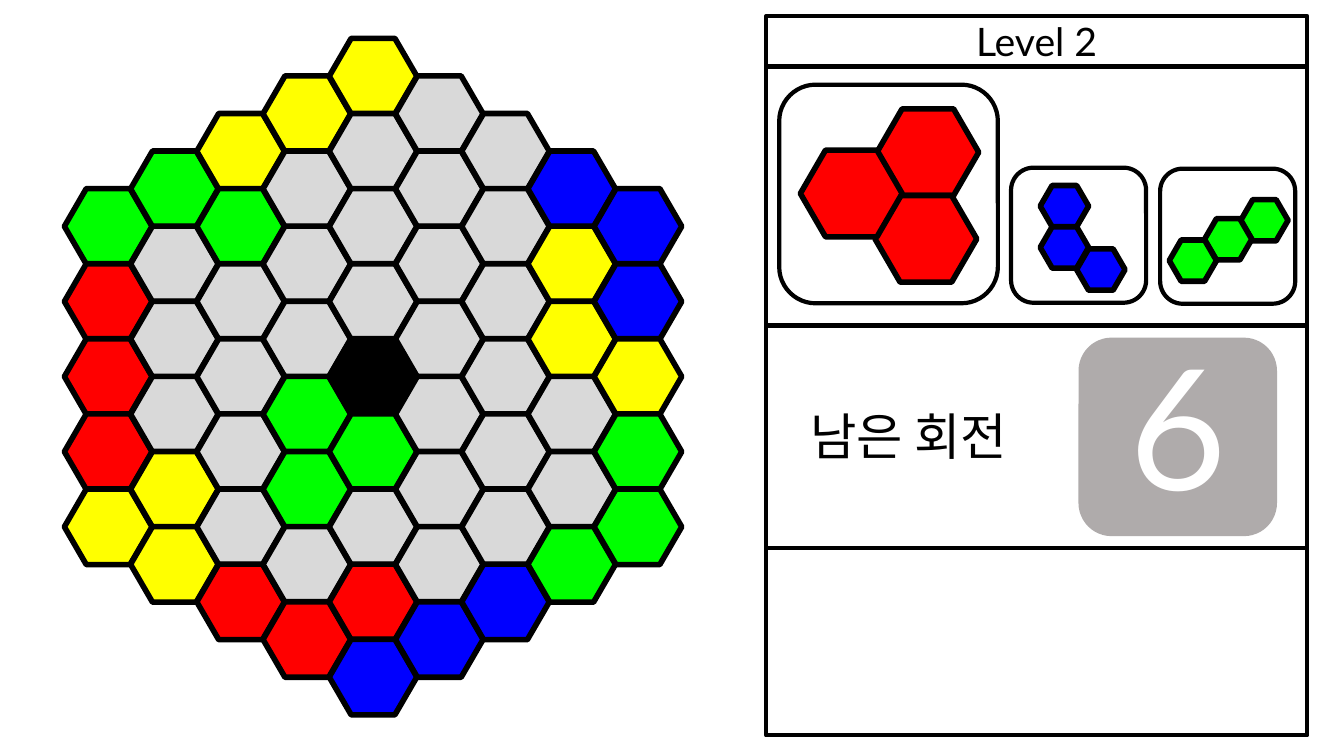
from pptx import Presentation
from pptx.dml.color import RGBColor
from pptx.enum import shapes, text
from pptx.oxml import ns
from pptx.util import Pt

COLORS = {"R": "FF0000", "G": "00FF00", "B": "0000FF", "Y": "FFFF00",
          "-": "D9D9D9", "K": "000000", "W": "FFFFFF", "counter": "AFABAB"}
KIND = shapes.MSO_SHAPE


def add_block(parent, kind, box, fill=None, line=None):
    block = parent.add_shape(kind, *[Pt(v) for v in box])
    block.shadow.inherit = False
    if fill:
        block.fill.solid()
        block.fill.fore_color.rgb = RGBColor.from_string(COLORS[fill])
    else:
        block.fill.background()
    if line:
        block.line.color.rgb = RGBColor.from_string(COLORS["K"])
        block.line.width = Pt(line)
    else:
        block.line.fill.background()
    if kind == KIND.HEXAGON:
        block.adjustments[0] = 0.29
    return block


def write(block, words, size, font, color, align):
    frame = block.text_frame
    frame.word_wrap = True
    paragraph = frame.paragraphs[0]
    paragraph.alignment = align
    run = paragraph.add_run()
    run.text = words
    for name, value in {"size": Pt(size), "name": font}.items():
        setattr(run.font, name, value)
    run.font.color.rgb = RGBColor.from_string(COLORS[color])
    east_asian = run.font._element.makeelement(ns.qn("a:ea"), {"typeface": font})
    run.font._element.append(east_asian)
    return frame


deck = Presentation()
deck.slide_width, deck.slide_height = Pt(960), Pt(540)
slide = deck.slides.add_slide(deck.slide_layouts[6])
canvas = slide.shapes

# Board: one string per column, top to bottom, centred on the black cell
columns = ["GRRRY", "G---YY", "YG----R", "Y---GG-R", "Y---KG-RB",
           "-------B", "------B", "BYY--G", "BBYGG"]
cell_width, cell_height = 62.6, 54
column_step, row_step = 47.3, 53.65
board_left, center_top = 46, 242
for c, column in enumerate(columns):
    column_top = center_top - row_step * (len(column) - 1) / 2
    for r, color in enumerate(column):
        add_block(canvas, KIND.HEXAGON,
                  (board_left + c * column_step, column_top + r * row_step,
                   cell_width, cell_height), color, 4)

# Side panel: title, goals, turns left, empty section
panel_left, panel_width = 547.2, 386.6
sections = [add_block(canvas, KIND.RECTANGLE, (panel_left, top, panel_width, height), line=3)
            for top, height in [(11.5, 36), (47.5, 185), (232.5, 158.8), (391.3, 134)]]
title = write(sections[0], "Level 2", 28, "Lato", "K", text.PP_ALIGN.CENTER)
title.vertical_anchor = text.MSO_ANCHOR.MIDDLE

# Goal cards: left, top, side, color, hexagon size, hexagon corners
goals = [
    (556.6, 60.5, 156.2, "R", (72.7, 61.9), [(626.4, 77.8), (625, 139.7), (571.7, 107.3)]),
    (722.2, 119.8, 96.5, "B", (34.6, 29.5), [(743, 132.5), (743, 162), (769, 177.8)]),
    (828.7, 120.5, 96.5, "G", (33.8, 29.5), [(886.3, 142.6), (860.4, 156.2), (835.2, 171.4)]),
]
for left, top, side, color, size, corners in goals:
    add_block(canvas, KIND.ROUNDED_RECTANGLE, (left, top, side, side), line=3)
    pattern = canvas.add_group_shape()
    for corner in corners:
        add_block(pattern.shapes, KIND.HEXAGON, corner + size, color, 4)

# Turns left
turns_label = canvas.add_textbox(Pt(571.7), Pt(285.8), Pt(174.2), Pt(51))
label_frame = write(turns_label, "남은 회전", 36, "Noto Sans CJK KR", "K", text.PP_ALIGN.LEFT)
label_frame.auto_size = text.MSO_AUTO_SIZE.SHAPE_TO_FIT_TEXT

counter = add_block(canvas, KIND.ROUNDED_RECTANGLE, (770.4, 241.2, 141.8, 141.8), "counter")
counter_frame = write(counter, "6", 120, "Lato", "W", text.PP_ALIGN.CENTER)
counter_format = {"vertical_anchor": text.MSO_ANCHOR.MIDDLE, "margin_bottom": Pt(22.3)}
for name, value in counter_format.items():
    setattr(counter_frame, name, value)

deck.save("out.pptx")
